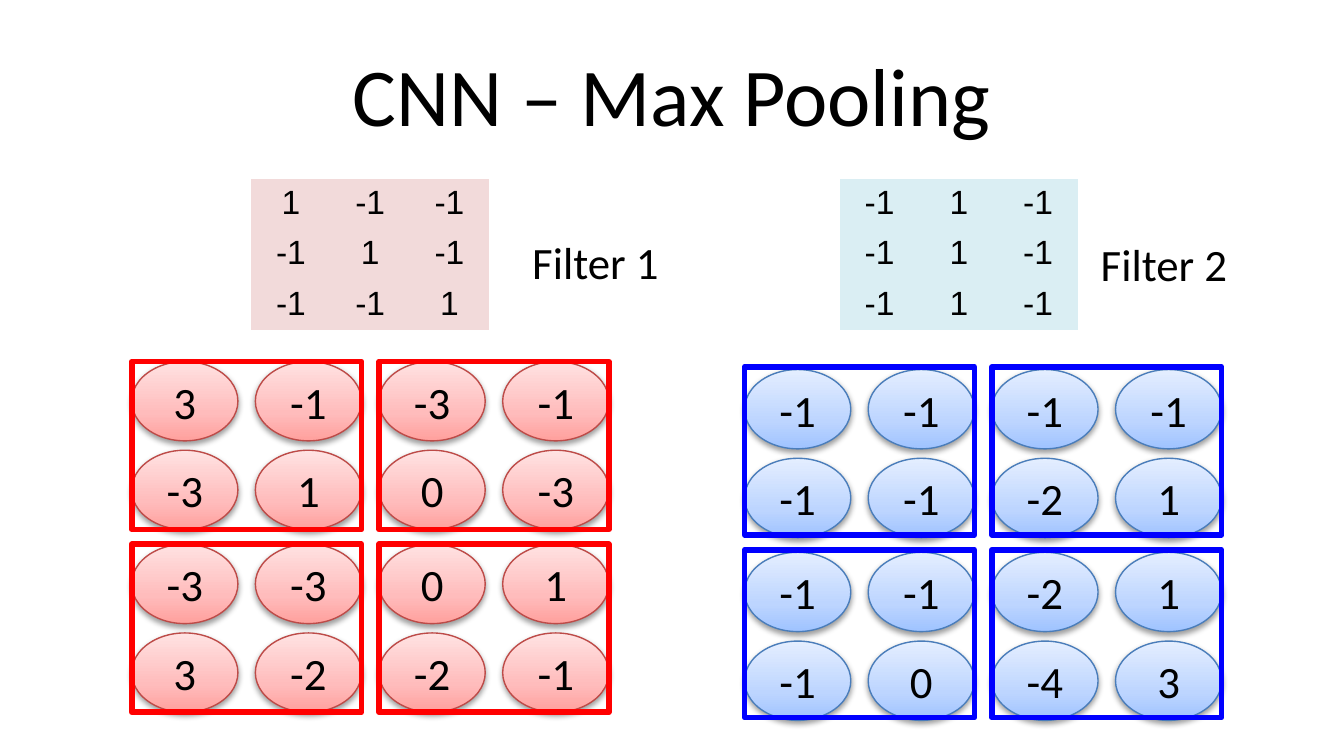
"""Build a slide showing max pooling over the outputs of two filters."""
from lxml import etree
from pptx import Presentation, oxml
from pptx.dml.color import RGBColor
from pptx.enum import shapes, text
from pptx.oxml import ns
from pptx.util import Inches, Pt

BLACK = RGBColor(0, 0, 0)
TITLE = "CNN – Max Pooling"
FILTERS = [
    {
        "label": "Filter 1",
        "label_at": (3.64, 1.7),
        "kernel": [(1, -1, -1), (-1, 1, -1), (-1, -1, 1)],
        "kernel_left": 1.87,
        "kernel_fill": RGBColor(0xF2, 0xDA, 0xDA),
        "values": [(3, -1, -3, -1), (-3, 1, 0, -3), (-3, -3, 0, 1), (3, -2, -2, -1)],
        "values_at": (0.98, 2.69),
        "pool_top": 2.69,
        "gradient": [(0, "FFA09D"), (35, "FFBCBC"), (100, "FFE2E2")],
        "outline": RGBColor(0xBD, 0x4B, 0x48),
        "pool_color": RGBColor(0xFF, 0, 0),
    },
    {
        "label": "Filter 2",
        "label_at": (7.87, 1.71),
        "kernel": [(-1, 1, -1)] * 3,
        "kernel_left": 6.25,
        "kernel_fill": RGBColor(0xDA, 0xEE, 0xF3),
        "values": [(-1, -1, -1, -1), (-1, -1, -2, 1), (-1, -1, -2, 1), (-1, 0, -4, 3)],
        "values_at": (5.54, 2.75),
        "pool_top": 2.73,
        "gradient": [(0, "9FC3FF"), (35, "BDD5FF"), (100, "E4EEFF")],
        "outline": RGBColor(0x4A, 0x7D, 0xBA),
        "pool_color": RGBColor(0, 0, 0xFF),
    },
]
KERNEL_TOP, KERNEL_COLUMN, KERNEL_ROW = 1.33, 0.59, 0.3
OVAL_WIDTH, OVAL_HEIGHT = 0.79, 0.59
COLUMN_STEP, ROW_STEP = 0.92, 0.66
POOL_WIDTH, POOL_HEIGHT = COLUMN_STEP + OVAL_WIDTH, ROW_STEP + OVAL_HEIGHT
POOL_STEP = 1.36
NO_STYLE = "{2D5ABB26-0587-4C30-8999-92F81FD0307C}"


def write(frame, words, size, font="Calibri"):
    para = frame.paragraphs[0]
    para.alignment = text.PP_ALIGN.CENTER
    span = para.add_run()
    span.text = str(words)
    span.font.size = Pt(size)
    span.font.name = font
    span.font.color.rgb = BLACK


def add_label(page, words, left, top, width, height, size, anchor):
    frame = page.shapes.add_textbox(*map(Inches, (left, top, width, height))).text_frame
    frame.word_wrap = True
    frame.vertical_anchor = anchor
    write(frame, words, size)


def add_outline(page, kind, left, top, width, height, color, weight):
    box = page.shapes.add_shape(kind, *map(Inches, (left, top, width, height)))
    box.shadow.inherit = False
    box.fill.background()
    box.line.color.rgb = color
    box.line.width = Pt(weight)
    return box


def add_oval(page, value, left, top, gradient, outline):
    oval = add_outline(page, shapes.MSO_SHAPE.OVAL, left, top,
                       OVAL_WIDTH, OVAL_HEIGHT, outline, 0.75)
    properties = oval._element.spPr
    stops = "".join(f'<a:gs pos="{place * 1000}"><a:srgbClr val="{color}"/></a:gs>'
                    for place, color in gradient)
    properties.replace(properties.find(ns.qn("a:noFill")), oxml.parse_xml(
        f'<a:gradFill {ns.nsdecls("a")} rotWithShape="1"><a:gsLst>{stops}</a:gsLst>'
        '<a:lin ang="16200000" scaled="0"/></a:gradFill>'))
    shadow = etree.SubElement(properties.find(ns.qn("a:effectLst")), ns.qn("a:outerShdw"),
                              blurRad="40000", dist="20000", dir="5400000", rotWithShape="0")
    color = etree.SubElement(shadow, ns.qn("a:srgbClr"), val="000000")
    etree.SubElement(color, ns.qn("a:alpha"), val="38000")
    oval.text_frame.vertical_anchor = text.MSO_ANCHOR.MIDDLE
    write(oval.text_frame, value, 24)


def add_kernel(page, kernel, left, fill):
    size = len(kernel)
    frame = page.shapes.add_table(size, size, Inches(left), Inches(KERNEL_TOP),
                                  Inches(size * KERNEL_COLUMN), Inches(size * KERNEL_ROW))
    table = frame.table
    table.first_row = table.horz_banding = False
    table._tbl.tblPr.find(ns.qn("a:tableStyleId")).text = NO_STYLE
    for row, values in enumerate(kernel):
        for column, value in enumerate(values):
            cell = table.cell(row, column)
            cell.margin_top = cell.margin_bottom = Pt(2.7)
            cell.fill.solid()
            cell.fill.fore_color.rgb = fill
            write(cell.text_frame, value, 18, "Arial")


def add_filter(page, item):
    add_kernel(page, item["kernel"], item["kernel_left"], item["kernel_fill"])
    add_label(page, item["label"], *item["label_at"], 1.58, 0.38, 24, text.MSO_ANCHOR.TOP)
    left, top = item["values_at"]
    for row, values in enumerate(item["values"]):
        block, line = divmod(row, 2)
        for column, value in enumerate(values):
            add_oval(page, value, left + column * COLUMN_STEP,
                     top + block * POOL_STEP + line * ROW_STEP,
                     item["gradient"], item["outline"])
    for row in range(2):
        for column in range(2):
            add_outline(page, shapes.MSO_SHAPE.RECTANGLE, left + column * 2 * COLUMN_STEP,
                        item["pool_top"] + row * POOL_STEP, POOL_WIDTH, POOL_HEIGHT,
                        item["pool_color"], 3)


def main():
    deck = Presentation()
    deck.slide_width = Inches(10)
    deck.slide_height = deck.slide_width * 9 // 16
    page = deck.slides.add_slide(deck.slide_layouts[6])
    add_label(page, TITLE, 0.5, 0.23, 9, 0.94, 44, text.MSO_ANCHOR.MIDDLE)
    for item in FILTERS:
        add_filter(page, item)
    deck.save("out.pptx")


if __name__ == "__main__":
    main()
